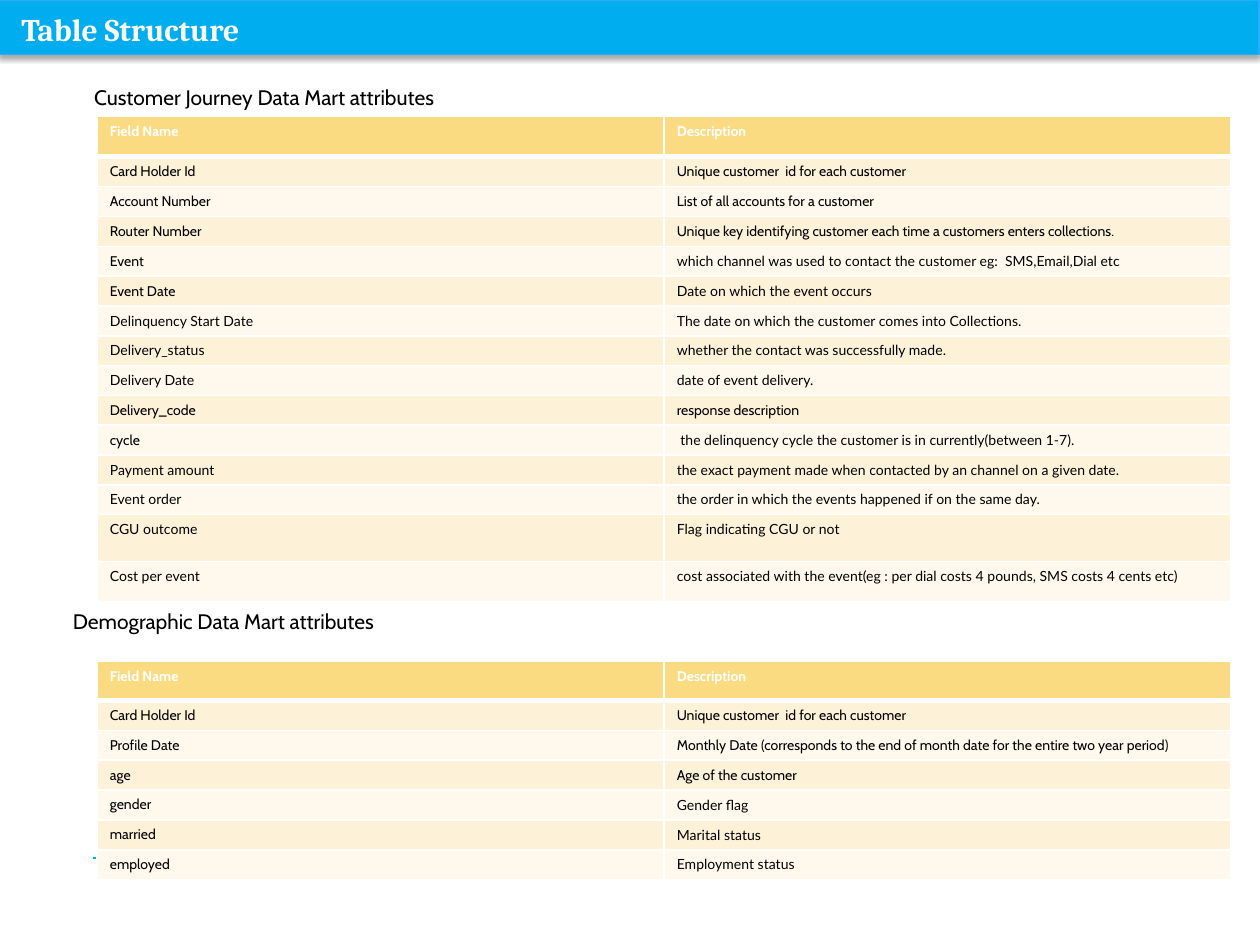
import pptx
import pptx.util
import pptx.dml.color
import pptx.enum.shapes
import pptx.enum.text
import pptx.oxml
import pptx.oxml.ns
from pptx.util import Cm

BLUE, WHITE, BLACK = "00AEEF", "FFFFFF", "000000"
HEADER_FILL, BANDS = "FBDB81", ("FDF1D8", "FEF8ED")
FONTS = {"C": "Cabin", "L": "Lato"}
HEADER = ("Field Name", "Description", "CC")

# Field, description, font of each of the two cells
JOURNEY = [
    HEADER,
    ("Card Holder Id", "Unique customer  id for each customer", "CC"),
    ("Account Number", "List of all accounts for a customer", "CC"),
    ("Router Number", "Unique key identifying customer each time a customers enters collections.", "CC"),
    ("Event", "which channel was used to contact the customer eg:  SMS,Email,Dial etc", "CL"),
    ("Event Date", "Date on which the event occurs", "CL"),
    ("Delinquency Start Date", "The date on which the customer comes into Collections.", "LL"),
    ("Delivery_status", "whether the contact was successfully made.", "LL"),
    ("Delivery Date", "date of event delivery.", "LL"),
    ("Delivery_code", "response description", "CC"),
    ("cycle", " the delinquency cycle the customer is in currently(between 1-7).", "CL"),
    ("Payment amount", "the exact payment made when contacted by an channel on a given date.", "LL"),
    ("Event order", "the order in which the events happened if on the same day.", "LL"),
    ("CGU outcome", "Flag indicating CGU or not", "LL"),
    ("Cost per event", "cost associated with the event(eg : per dial costs 4 pounds, SMS costs 4 cents etc)", "LL"),
]
DEMOGRAPHIC = [
    HEADER,
    ("Card Holder Id", "Unique customer  id for each customer", "CC"),
    ("Profile Date", "Monthly Date (corresponds to the end of month date for the entire two year period)", "CC"),
    ("age", "Age of the customer", "CC"),
    ("gender", "Gender flag", "CL"),
    ("married", "Marital status", "CL"),
    ("employed", "Employment status", "CL"),
]


def rgb(value):
    return pptx.dml.color.RGBColor.from_string(value)


def xml(parent, body):
    ns = pptx.oxml.ns.nsdecls("a")
    tag = body.split()[0]
    parent.append(pptx.oxml.parse_xml(f"<{body.replace(tag, f'{tag} {ns}', 1)}"))


def write(tf, text, size, font, color, bold=False):
    p = tf.paragraphs[0]
    p.alignment = pptx.enum.text.PP_ALIGN.LEFT
    r = p.add_run()
    r.text = text
    fmt = {"size": pptx.util.Pt(size), "name": font, "bold": bold}
    for key, value in fmt.items():
        setattr(r.font, key, value)
    r.font.color.rgb = rgb(color)


def set_frame(tf):
    fmt = {"margin_left": 0, "margin_top": 0, "margin_right": 0, "margin_bottom": 0,
           "word_wrap": True, "auto_size": pptx.enum.text.MSO_AUTO_SIZE.NONE,
           "vertical_anchor": pptx.enum.text.MSO_ANCHOR.TOP}
    for key, value in fmt.items():
        setattr(tf, key, value)


def add_heading(s, x, y, w, text):
    sp = s.shapes.add_textbox(Cm(x), Cm(y), Cm(w), Cm(0.51))
    set_frame(sp.text_frame)
    write(sp.text_frame, text, 12, "Cabin", BLACK)


def add_rule(s, x1, x2, y):
    sp = s.shapes.add_connector(pptx.enum.shapes.MSO_CONNECTOR.STRAIGHT,
                                Cm(x1), Cm(y), Cm(x2), Cm(y))
    sp.line.color.rgb = rgb(BLUE)
    sp.line.width = pptx.util.Pt(1)
    xml(sp._element.spPr, "a:effectLst />")


def add_bar(s):
    sp = s.shapes.add_shape(pptx.enum.shapes.MSO_SHAPE.RECTANGLE,
                            Cm(-0.02), 0, Cm(25.4), Cm(1.1))
    sp.fill.solid()
    sp.fill.fore_color.rgb = rgb(BLUE)
    sp.line.color.rgb = rgb("27ACFF")
    sp.line.width = pptx.util.Pt(0.75)
    blur, dist = pptx.util.Pt(3.1), pptx.util.Pt(1.8)
    xml(sp._element.spPr,
        f'a:effectLst ><a:outerShdw blurRad="{blur}" dist="{dist}" dir="5400000" '
        f'rotWithShape="0"><a:srgbClr val="{BLACK}"><a:alpha val="35000"/></a:srgbClr>'
        '</a:outerShdw></a:effectLst>')


def set_title(s, text):
    sp = s.shapes.title
    sp.left, sp.top, sp.width, sp.height = Cm(0.43), Cm(0.2), Cm(24.56), Cm(0.76)
    set_frame(sp.text_frame)
    write(sp.text_frame, text, 18, "Cambria", WHITE, True)
    # Bring the title in front of the bar
    s.shapes._spTree.append(sp._element)


def format_cell(cell, fill, bottom):
    tcPr = cell._tc.get_or_add_tcPr()
    for side, width in (("L", 1), ("R", 1), ("T", 1), ("B", bottom)):
        xml(tcPr, f'a:ln{side} w="{pptx.util.Pt(width)}"><a:solidFill>'
                  f'<a:srgbClr val="{WHITE}"/></a:solidFill></a:ln{side}>')
    cell.fill.solid()
    cell.fill.fore_color.rgb = rgb(fill)


def add_field_table(s, y, rows, heights):
    table = s.shapes.add_table(len(rows), 2, Cm(1.96), Cm(y), Cm(22.86),
                               Cm(sum(heights))).table
    for i, (row, height) in enumerate(zip(rows, heights)):
        table.rows[i].height = Cm(height)
        head = i == 0
        fill = HEADER_FILL if head else BANDS[(i - 1) % 2]
        for j, font in enumerate(row[2]):
            cell = table.cell(i, j)
            format_cell(cell, fill, 3 if head else 1)
            write(cell.text_frame, row[j], 8, FONTS[font], WHITE if head else BLACK, head)


def main():
    prs = pptx.Presentation()
    prs.slide_width, prs.slide_height = Cm(25.4), Cm(19.05)
    s = prs.slides.add_slide(prs.slide_layouts[5])

    # Rule and title bar
    add_rule(s, 1.88, 24.13, 17.3)
    add_bar(s)
    set_title(s, "Table Structure")

    # Customer journey
    add_field_table(s, 2.34, JOURNEY, [0.82] + [0.6] * 12 + [0.95, 0.8])
    add_heading(s, 1.9, 1.7, 11.23, "Customer Journey Data Mart attributes")

    # Demographics
    add_heading(s, 1.47, 12.27, 17.15, "Demographic Data Mart attributes")
    add_field_table(s, 13.34, DEMOGRAPHIC, [0.78] + [0.59] * 6)

    prs.save("out.pptx")


main()
